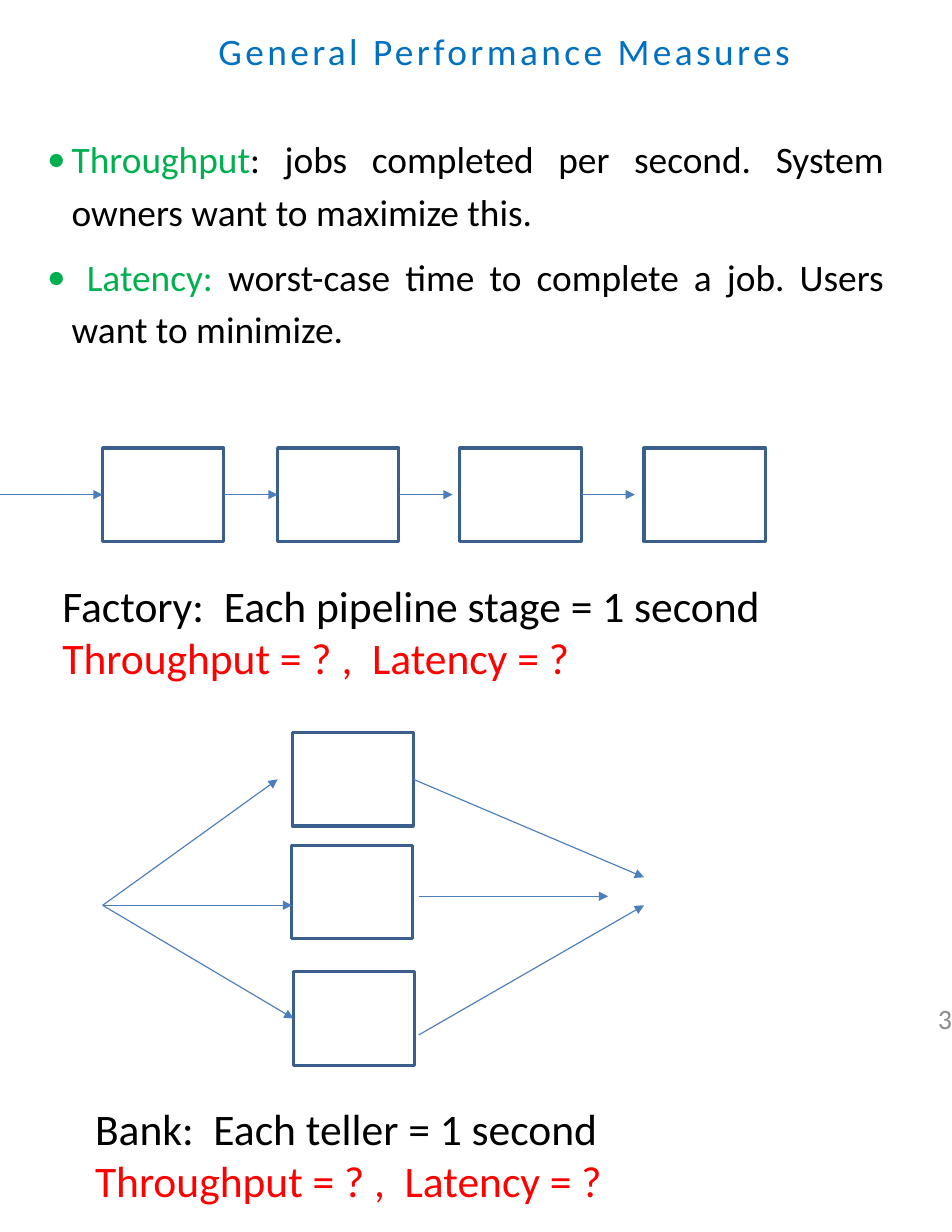
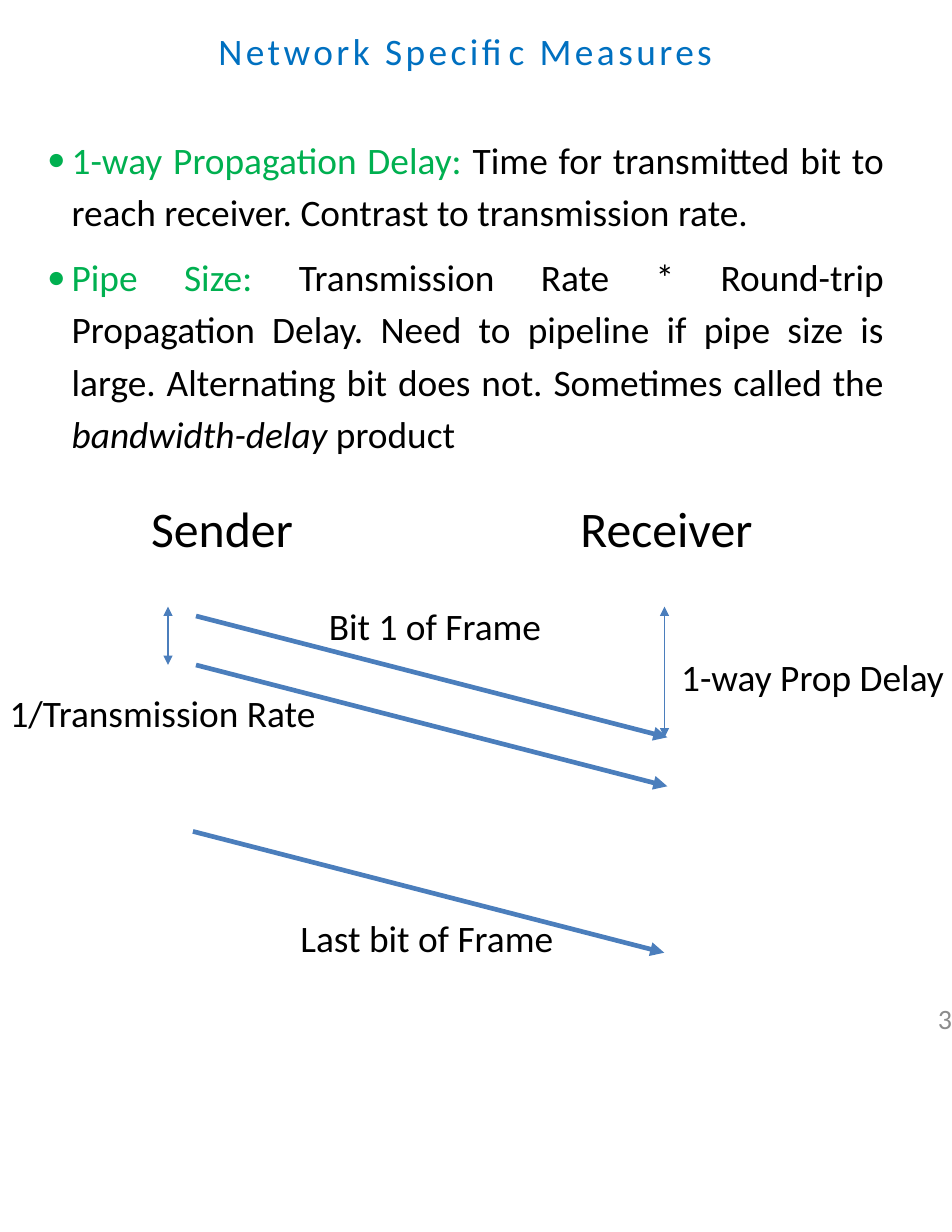
from dataclasses import dataclass

from lxml import etree
from pptx import Presentation
from pptx.dml.color import RGBColor
from pptx.enum.shapes import MSO_CONNECTOR, MSO_SHAPE
from pptx.enum.text import MSO_AUTO_SIZE, PP_ALIGN
from pptx.oxml.ns import qn
from pptx.util import Inches, Pt

STRAIGHT = MSO_CONNECTOR.STRAIGHT
RECTANGLE = MSO_SHAPE.RECTANGLE
GROW = MSO_AUTO_SIZE.SHAPE_TO_FIT_TEXT
RIGHT, JUSTIFY = PP_ALIGN.RIGHT, PP_ALIGN.JUSTIFY
LEFT_SIDE, RIGHT_SIDE = 1, 3
COLUMNS, ROWS = 102, 132


@dataclass(frozen=True)
class Theme:
    """Colours, font and type sizes of the deck."""
    font: str = "Calibri"
    title: RGBColor = RGBColor(0x00, 0x70, 0xC0)
    term: RGBColor = RGBColor(0x00, 0xB0, 0x50)
    ink: RGBColor = RGBColor(0x00, 0x00, 0x00)
    question: RGBColor = RGBColor(0xFF, 0x00, 0x00)
    number: RGBColor = RGBColor(0x8C, 0x8C, 0x8C)
    outline: RGBColor = RGBColor(0x3A, 0x5F, 0x8C)
    arrow: RGBColor = RGBColor(0x4B, 0x7E, 0xBC)
    number_size: int = 18
    body_size: int = 24
    note_size: int = 28
    heading_size: int = 32
    thin: float = 0.75
    border: float = 2
    thick: float = 3


class Page:
    """Draws styled elements on the current slide, placed by grid columns and rows."""

    def __init__(self, deck, theme):
        self.theme = theme
        self.column = deck.slide_width / COLUMNS
        self.row = deck.slide_height / ROWS
        self.slide = deck.slides.add_slide(deck.slide_layouts[6])

    def place(self, *lengths):
        """Turn alternating column and row lengths into slide units."""
        units = (self.column, self.row)
        return [round(length * units[i % 2]) for i, length in enumerate(lengths)]

    def span(self, para, text, color, size, tracking=0, italic=False):
        """Add one styled run to a paragraph."""
        span = para.add_run()
        span.text = text
        span.font.name = self.theme.font
        span.font.size = Pt(size)
        span.font.color.rgb = color
        if italic:
            span.font.italic = True
        if tracking:
            span.font._element.set("spc", str(round(tracking * 100)))

    def text_frame(self, area, wrap=True, inset=True):
        """Add a text box and return its frame."""
        frame = self.slide.shapes.add_textbox(*self.place(*area)).text_frame
        frame.word_wrap = wrap
        frame.auto_size = GROW
        if not inset:
            frame.margin_left = frame.margin_top = 0
            frame.margin_right = frame.margin_bottom = 0
        return frame

    def indent(self, para, left, first=0):
        """Set the left and first-line indents in inches."""
        properties = para._p.get_or_add_pPr()
        properties.set("marL", str(Inches(left)))
        properties.set("indent", str(Inches(first)))
        return properties

    def bullet(self, para):
        """Hang a bullet in the text font before the paragraph."""
        properties = self.indent(para, 0.39, -0.22)
        etree.SubElement(properties, qn("a:buFont")).set("typeface", self.theme.font)
        etree.SubElement(properties, qn("a:buChar")).set("char", "•")

    def outline(self, title, bullets, height):
        """Write the title and the justified definitions below it."""
        frame = self.text_frame((3, 3, 92.9, height), inset=False)
        frame.margin_right = Inches(0.1)
        para = frame.paragraphs[0]
        self.indent(para, 1.7)
        self.span(para, title, self.theme.title, self.theme.body_size, tracking=2.2)
        for index, (term, *parts) in enumerate(bullets):
            para = frame.add_paragraph()
            para.alignment = JUSTIFY
            para.line_spacing = 1.17
            para.space_before = Pt(8.2 if index else 36.2)
            self.bullet(para)
            self.span(para, term, self.theme.term, self.theme.body_size)
            for number, part in enumerate(parts):
                self.span(para, part, self.theme.ink, self.theme.body_size,
                          italic=number == 1)

    def page_number(self, text):
        """Write the page number at the right edge."""
        frame = self.text_frame((99.6, 108.7, 2.4, 2.2), inset=False)
        frame.margin_top = Inches(0.01)
        para = frame.paragraphs[0]
        para.alignment = RIGHT
        para.line_spacing = Pt(12.3)
        para.space_before = Pt(0.6)
        self.indent(para, 0.03)
        self.span(para, text, self.theme.number, self.theme.number_size, tracking=-0.1)

    def note(self, left, top, statement):
        """Write a statement with the question on both measures."""
        frame = self.text_frame((left, top, 86, 12.5))
        size = self.theme.note_size
        self.span(frame.paragraphs[0], statement, self.theme.ink, size)
        self.span(frame.add_paragraph(), "Throughput = ? ,  Latency = ?",
                  self.theme.question, size)

    def label(self, text, area, size):
        """Write a one-line label."""
        frame = self.text_frame(area, wrap=False)
        self.span(frame.paragraphs[0], text, self.theme.ink, size)

    def box(self, left, top):
        """Draw one empty server box."""
        box = self.slide.shapes.add_shape(RECTANGLE, *self.place(left, top, 13, 10))
        box.shadow.inherit = False
        box.fill.background()
        box.line.color.rgb = self.theme.outline
        box.line.width = Pt(self.theme.border)
        return box

    def arrow(self, start, end, width, source=None, target=None, double=False):
        """Draw an arrow, joined to the source and target boxes if given."""
        arrow = self.slide.shapes.add_connector(STRAIGHT, *self.place(*start, *end))
        if source:
            arrow.begin_connect(source, RIGHT_SIDE)
        if target:
            arrow.end_connect(target, LEFT_SIDE)
        arrow.line.color.rgb = self.theme.arrow
        arrow.line.width = Pt(width)
        properties = arrow._element.spPr
        line = properties.find(qn("a:ln"))
        for tip in ("a:headEnd", "a:tailEnd") if double else ("a:tailEnd",):
            etree.SubElement(line, qn(tip)).set("type", "triangle")
        etree.SubElement(properties, qn("a:effectLst"))


def general_measures(deck, theme):
    """Build the page on throughput and latency."""
    page = Page(deck, theme)
    page.page_number("3")
    page.outline("General Performance Measures", [
        ("Throughput",
         ": jobs completed per second. System owners want to maximize this."),
        (" Latency: ", "worst-case time to complete a job. Users want to minimize."),
    ], 35)

    stages = [page.box(left, 48) for left in (11, 29.75, 49.27, 69)]
    page.arrow((0, 53), (11, 53), theme.thin, target=stages[0])
    page.arrow((24, 53), (29.75, 53), theme.thin, stages[0], stages[1])
    for stage, left in zip(stages[1:], (42.75, 62.27)):
        page.arrow((left, 53), (left + 5.75, 53), theme.thin, stage)

    tellers = [page.box(*corner) for corner in ((31.3, 78.5), (31.2, 90.6), (31.45, 104.12))]
    queue = (11, 97)
    page.arrow(queue, (29.75, 83.5), theme.thin)
    page.arrow(queue, (31.3, 97), theme.thin)
    page.arrow(queue, (31.45, 109.12), theme.thin, target=tellers[2])
    page.arrow((44.3, 83.5), (69, 94), theme.thin, tellers[0])
    page.arrow((44.85, 96.03), (65.15, 96.03), theme.thin)
    page.arrow((44.85, 110.9), (69, 97), theme.thin)

    page.note(5.5, 61.45, "Factory:  Each pipeline stage = 1 second")
    page.note(9, 117.45, "Bank:  Each teller = 1 second")


def network_measures(deck, theme):
    """Build the page on propagation delay and pipe size."""
    page = Page(deck, theme)
    page.page_number("3")
    page.outline("Network Specific Measures", [
        ("1-way Propagation Delay: ",
         "Time for transmitted bit to reach receiver. Contrast to transmission rate."),
        ("Pipe Size: ",
         "Transmission Rate * Round-trip Propagation Delay. Need to pipeline if pipe "
         "size is large. Alternating bit does not. Sometimes called the ",
         "bandwidth-delay", " product"),
    ], 46.5)

    page.label("Sender", (15, 52.7, 17.75, 7.7), theme.heading_size)
    page.label("Receiver", (61, 52.7, 21, 7.7), theme.heading_size)
    for left, top in ((21, 66), (21, 71.25), (20.67, 89.08)):
        page.arrow((left, top), (left + 50.5, top + 13), theme.thick)
    for left, bottom in ((71.2, 79), (18, 71.25)):
        page.arrow((left, 65), (left, bottom), theme.thin, double=True)
    for text, left, top, width in (
        ("1/Transmission Rate", -0.15, 73.35, 35.5),
        ("1-way Prop Delay", 71.8, 69.5, 30.85),
        ("Bit 1 of Frame", 34.05, 64, 25.3),
        ("Last bit of Frame", 31, 97.45, 29.75),
    ):
        page.label(text, (left, top, width, 6), theme.body_size)


def main():
    """Build and save the deck."""
    deck = Presentation()
    deck.slide_width, deck.slide_height = Inches(8.5), Inches(11)
    theme = Theme()
    general_measures(deck, theme)
    network_measures(deck, theme)
    deck.save("out.pptx")


if __name__ == "__main__":
    main()
